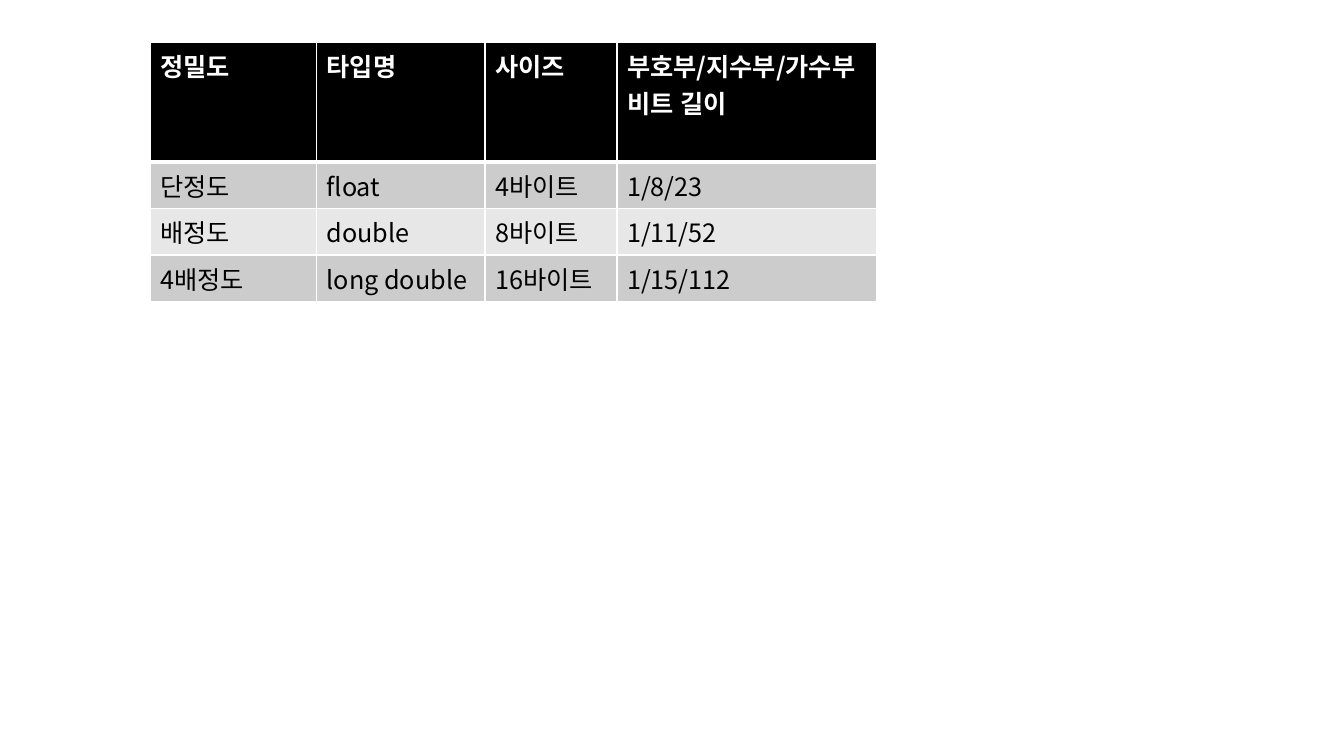
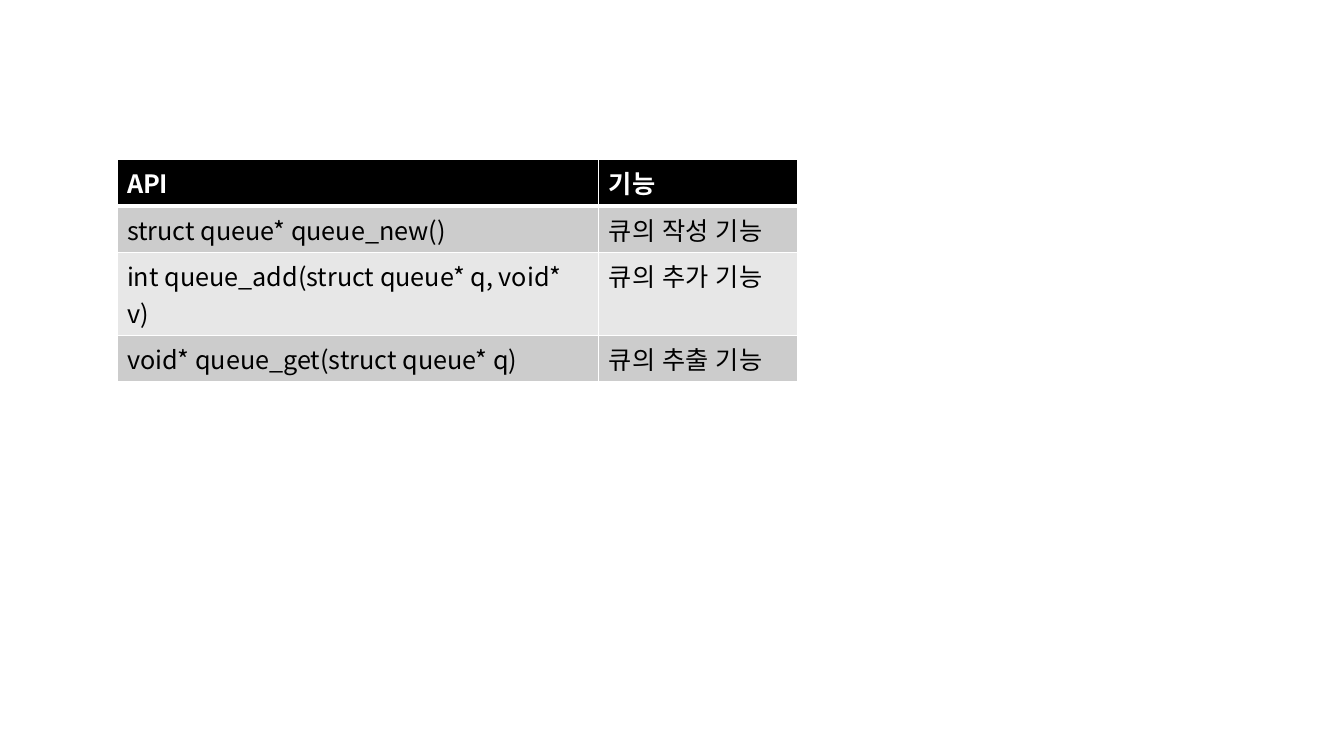
from lxml.etree import SubElement
from pptx import Presentation
from pptx.dml.color import RGBColor
from pptx.enum.lang import MSO_LANGUAGE_ID
from pptx.oxml import parse_xml
from pptx.oxml.ns import nsdecls, qn
from pptx.util import Emu, Pt

FONT = "Noto Sans CJK KR"
FONT_SIZE = 18
WHITE, BLACK = "FFFFFF", "000000"
BAND_FILLS = ("CCCCCC", "E7E7E7")
ROW_HEIGHT = 43
THIN, THICK = 1, 3

PRECISION_ROWS = [
    ("정밀도", "타입명", "사이즈", "부호부/지수부/가수부 비트 길이"),
    ("단정도", "float", "4바이트", "1/8/23"),
    ("배정도", "double", "8바이트", "1/11/52"),
    ("4배정도", "long double", "16바이트", "1/15/112"),
]
QUEUE_ROWS = [
    ("API", "기능"),
    ("struct queue* queue_new()", "큐의 작성 기능"),
    ("int queue_add(struct queue* q, void* v)", "큐의 추가 기능"),
    ("void* queue_get(struct queue* q)", "큐의 추출 기능"),
]


def px(length):
    """Convert px, at 100 to the inch, into EMU."""
    return Emu(length * 9144)


def color(value):
    return RGBColor.from_string(value)


def set_borders(cell, top, bottom):
    """Draw white borders; top and bottom are widths in points."""
    properties = cell._tc.get_or_add_tcPr()
    sides = (("L", THIN), ("R", THIN), ("T", top), ("B", bottom))
    for position, (side, width) in enumerate(sides):
        border = parse_xml(
            f'<a:ln{side} {nsdecls("a")} w="{Pt(width)}"><a:solidFill>'
            f'<a:srgbClr val="{WHITE}"/></a:solidFill></a:ln{side}>'
        )
        properties.insert(position, border)


def write_cell(cell, text, is_header):
    cell.text_frame.text = text
    run = cell.text_frame.paragraphs[0].runs[0]
    font = run.font
    font.name = FONT
    font.size = Pt(FONT_SIZE)
    font.bold = is_header
    font.color.rgb = color(WHITE if is_header else BLACK)
    font.language_id = MSO_LANGUAGE_ID.KOREAN
    SubElement(run._r.get_or_add_rPr(), qn("a:ea"), typeface=FONT)


def add_banded_table(slide, left, top, column_widths, rows):
    table = slide.shapes.add_table(
        len(rows), len(column_widths), px(left), px(top),
        px(sum(column_widths)), px(ROW_HEIGHT * len(rows)),
    ).table
    for column, width in zip(table.columns, column_widths):
        column.width = px(width)
    for row_index, texts in enumerate(rows):
        is_header = row_index == 0
        fill = BLACK if is_header else BAND_FILLS[(row_index - 1) % 2]
        for column_index, text in enumerate(texts):
            cell = table.cell(row_index, column_index)
            cell.fill.solid()
            cell.fill.fore_color.rgb = color(fill)
            set_borders(
                cell,
                top=THICK if row_index == 1 else THIN,
                bottom=THICK if is_header else THIN,
            )
            write_cell(cell, text, is_header)


def add_table_slide(presentation, left, top, column_widths, rows):
    slide = presentation.slides.add_slide(presentation.slide_layouts[6])
    add_banded_table(slide, left, top, column_widths, rows)


def main():
    presentation = Presentation()
    presentation.slide_width = px(1333)
    presentation.slide_height = px(750)
    add_table_slide(presentation, 149, 42, (165, 167, 131, 257), PRECISION_ROWS)
    add_table_slide(presentation, 116, 158, (478, 197), QUEUE_ROWS)
    presentation.save("out.pptx")


if __name__ == "__main__":
    main()
